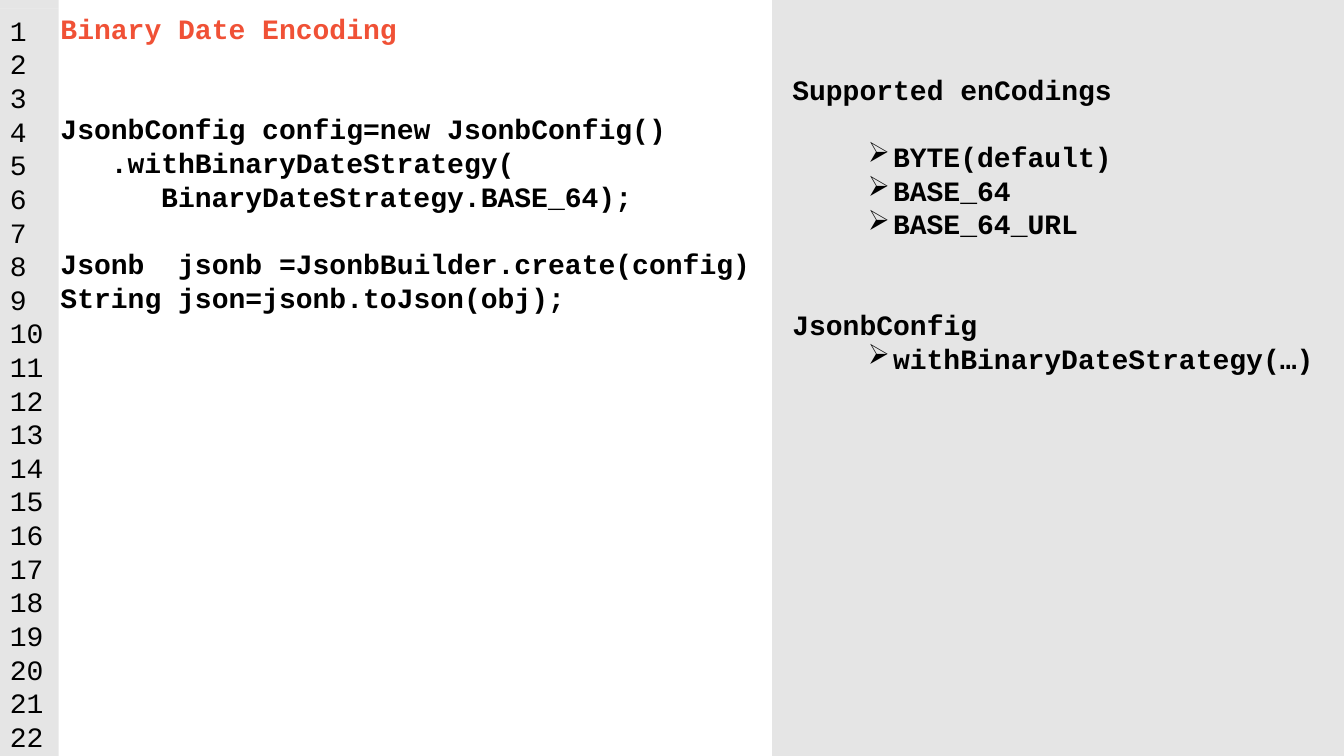
import pptx
import pptx.dml.color
import pptx.enum.shapes
import pptx.enum.text
import pptx.oxml
import pptx.oxml.ns
import pptx.util
from lxml import etree

Pt = pptx.util.Pt
SLIDE_WIDTH, SLIDE_HEIGHT = 960, 540
GUTTER_WIDTH, CODE_WIDTH = 42, 551.5
CAP_HEIGHT = 6
LINE_PITCH = 24
BLACK, GUTTER_GREY = "000000", "D9D9D9"

TITLE = "Binary Date Encoding"
CODE = [
    (2, "JsonbConfig config=new JsonbConfig()"),
    (0, "\t.withBinaryDateStrategy("),
    (0, "\t\tBinaryDateStrategy.BASE_64);"),
    (1, "Jsonb  jsonb =JsonbBuilder.create(config)"),
    (0, "String json=jsonb.toJson(obj);"),
]
NOTES = [
    (0, "Supported enCodings", []),
    (2, "JsonbConfig", ["withBinaryDateStrategy(…)"]),
]
ENCODINGS = ["BYTE(default)", "BASE_64", "BASE_64_URL"]


def color(hex_string):
    return pptx.dml.color.RGBColor.from_string(hex_string)


def add_panel(slide, box, fill, insets=(0, 0, 0, 0), opacity=100):
    panel = slide.shapes.add_shape(
        pptx.enum.shapes.MSO_SHAPE.RECTANGLE, *map(Pt, box))
    panel.shadow.inherit = False
    panel.line.fill.background()
    panel.fill.solid()
    panel.fill.fore_color.rgb = color(fill)
    if opacity < 100:
        tint = panel.fill._xPr.find(".//" + pptx.oxml.ns.qn("a:srgbClr"))
        etree.SubElement(tint, pptx.oxml.ns.qn("a:alpha"), val=str(opacity * 1000))
    frame = panel.text_frame
    frame.word_wrap = True
    frame.vertical_anchor = pptx.enum.text.MSO_ANCHOR.TOP
    (frame.margin_left, frame.margin_top,
     frame.margin_right, frame.margin_bottom) = map(Pt, insets)
    return frame


def add_line(frame, text, skipped=0, bold=True, ink=BLACK):
    first = frame.paragraphs[0]
    line = frame.add_paragraph() if first.runs else first
    line.alignment = pptx.enum.text.PP_ALIGN.LEFT
    line.line_spacing = Pt(LINE_PITCH)
    line.space_before = Pt(skipped * LINE_PITCH)
    run = line.add_run()
    run.text = text
    run.font.name = "Courier New"
    run.font.size = Pt(20)
    run.font.bold = bold
    run.font.color.rgb = color(ink)
    return line


def add_bullet(frame, text, skipped=0):
    properties = add_line(frame, text, skipped)._p.get_or_add_pPr()
    properties.set("marL", str(Pt(72)))
    properties.set("indent", str(-Pt(18)))
    etree.SubElement(properties, pptx.oxml.ns.qn("a:buChar"), char="➢")


def add_code(slide, box):
    code = add_panel(slide, box, "FFFFFF", (43.2, 8, 7.2, 72))
    add_line(code, TITLE, ink="F05136")
    for skipped, statement in CODE:
        add_line(code, statement, skipped)


def add_gutter(slide, box):
    left, top, width, height = box
    add_panel(slide, (left, top, width, CAP_HEIGHT), GUTTER_GREY, opacity=68)
    numbers = add_panel(
        slide, (left, top + CAP_HEIGHT, width, height - CAP_HEIGHT),
        GUTTER_GREY, (7.2, 3.6, 7.2, 72), opacity=68)
    for number in range(1, 23):
        add_line(numbers, str(number), bold=False)


def add_notes(slide, box):
    notes = add_panel(slide, box, "E5E5E5", (14.4, 3.6 + 2 * LINE_PITCH, 0, 0))
    add_line(notes, "Supported enCodings")
    for index, encoding in enumerate(ENCODINGS):
        add_bullet(notes, encoding, skipped=int(index == 0))
    add_line(notes, "JsonbConfig", skipped=2)
    add_bullet(notes, "withBinaryDateStrategy(…)")


def main():
    deck = pptx.Presentation()
    deck.slide_width, deck.slide_height = Pt(SLIDE_WIDTH), Pt(SLIDE_HEIGHT)
    slide = deck.slides.add_slide(deck.slide_layouts[6])
    add_code(slide, (0, 0, CODE_WIDTH, SLIDE_HEIGHT))
    add_gutter(slide, (0, 0, GUTTER_WIDTH, SLIDE_HEIGHT))
    add_notes(slide, (CODE_WIDTH, 0, SLIDE_WIDTH - CODE_WIDTH, SLIDE_HEIGHT))
    deck.save("out.pptx")


if __name__ == "__main__":
    main()
